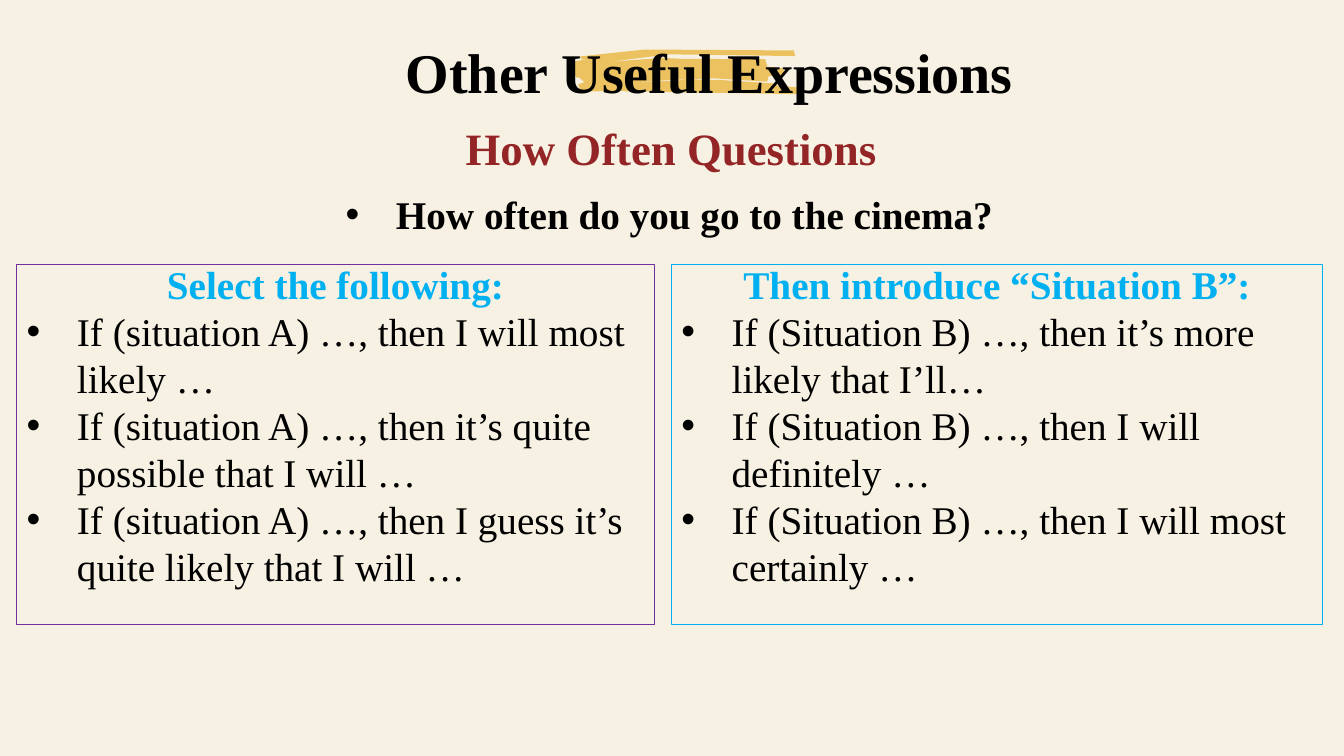
import math
import pptx
import pptx.util
import pptx.dml.color
import pptx.enum.shapes
import pptx.enum.text
import lxml.etree

RGB = pptx.dml.color.RGBColor
Cm = pptx.util.Cm
Pt = pptx.util.Pt
ALIGN = pptx.enum.text.PP_ALIGN
RECT = pptx.enum.shapes.MSO_SHAPE.RECTANGLE

CREAM = RGB(0xF6, 0xF0, 0xE1)
GOLD = RGB(0xEC, 0xC2, 0x61)
RED = RGB(0x94, 0x25, 0x26)
BLACK = RGB(0, 0, 0)
BLUE = RGB(0x00, 0xB0, 0xF0)
PLUM = RGB(0x70, 0x30, 0xA0)

WIDE, HIGH = 33.87, 19.05
TILT = 15.6
HUB = (684, 71)
STROKE = [
    (797, 87), (772, 85), (767, 83), (714, 79), (668, 79), (618, 83),
    (708, 78), (761, 81), (763, 75), (778, 75), (777, 68), (758, 66),
    (761, 65), (759, 59), (676, 58), (658, 58), (605, 61), (664, 54),
    (789, 56), (787, 50), (639, 49), (575, 56), (577, 59), (585, 58),
    (566, 62), (570, 69), (567, 70), (572, 77), (574, 77), (579, 81),
    (582, 81), (573, 84), (577, 91), (618, 90), (620, 91), (798, 93),
]


def turn(dot, hub, angle):
    """Return a point turned about a hub by an angle in degrees."""
    x, y = dot[0] - hub[0], dot[1] - hub[1]
    c, s = math.cos(math.radians(angle)), math.sin(math.radians(angle))
    return hub[0] + x * c - y * s, hub[1] + x * s + y * c


class Page:
    """Holds the text style and the current slide."""

    font = "Times New Roman"
    size = 28

    def __init__(self, slide):
        """Keep the slide."""
        self.slide = slide

    def style(self, para, color, size=None, bold=True):
        """Format the runs of a paragraph."""
        for run in para.runs:
            run.font.name = self.font
            run.font.size = Pt(size or self.size)
            run.font.bold = bold
            run.font.color.rgb = color

    def bullet(self, para):
        """Give a paragraph a hanging round bullet."""
        props = para._p.get_or_add_pPr()
        props.set("marL", str(Cm(1.27)))
        props.set("indent", str(-Cm(1.27)))
        for tag, key, value in (("buFont", "typeface", "Arial"),
                                ("buChar", "char", "•")):
            item = lxml.etree.SubElement(props, pptx.oxml.ns.qn("a:" + tag))
            item.set(key, value)

    def paint(self, shape, color):
        """Fill a shape with a flat colour and no line."""
        shape.shadow.inherit = False
        shape.fill.solid()
        shape.fill.fore_color.rgb = color
        shape.line.fill.background()

    def ground(self, color, alpha):
        """Cover the slide with a slightly clear colour."""
        shape = self.slide.shapes.add_shape(RECT, 0, 0, Cm(WIDE), Cm(HIGH))
        self.paint(shape, color)
        tint = shape._element.spPr.find(".//" + pptx.oxml.ns.qn("a:srgbClr"))
        item = lxml.etree.SubElement(tint, pptx.oxml.ns.qn("a:alpha"))
        item.set("val", str(alpha * 1000))

    def text(self, place, words, color, size=None, wrap=True, dot=False):
        """Add one line of bold text."""
        frame = self.slide.shapes.add_textbox(*map(Cm, place)).text_frame
        frame.word_wrap = wrap
        para = frame.paragraphs[0]
        para.text = words
        if dot:
            self.bullet(para)
        else:
            para.alignment = ALIGN.CENTER
        self.style(para, color, size)

    def panel(self, place, edge, head, items):
        """Add an outlined box with a heading and bullets."""
        box = self.slide.shapes.add_shape(RECT, *map(Cm, place))
        box.shadow.inherit = False
        box.fill.background()
        box.line.color.rgb = edge
        box.line.width = Pt(0.75)
        frame = box.text_frame
        frame.word_wrap = True
        frame.vertical_anchor = pptx.enum.text.MSO_ANCHOR.TOP
        para = frame.paragraphs[0]
        para.text = head
        para.alignment = ALIGN.CENTER
        para.line_spacing = 0.8
        self.style(para, BLUE)
        for item in items:
            para = frame.add_paragraph()
            para.text = item
            para.alignment = ALIGN.LEFT
            self.bullet(para)
            self.style(para, BLACK, bold=False)

    def brush(self, dots, hub, tilt, color):
        """Add a tilted brush stroke drawn in hundredths of an inch."""
        flat = [turn(dot, hub, -tilt) for dot in dots]
        pen = self.slide.shapes.build_freeform(*flat[0], scale=Cm(2.54) / 100)
        pen.add_line_segments(flat[1:], close=True)
        shape = pen.convert_to_shape()
        shape.rotation = tilt
        self.paint(shape, color)


def main():
    """Build and save the slide."""
    deck = pptx.Presentation()
    deck.slide_width = Cm(WIDE)
    deck.slide_height = Cm(HIGH)
    page = Page(deck.slides.add_slide(deck.slide_layouts[6]))
    page.ground(CREAM, 90)
    page.panel((0.42, 6.67, 16.07, 9.07), PLUM, "Select the following:", [
        "If (situation A) …, then I will most likely …",
        "If (situation A) …, then it’s quite possible that I will …",
        "If (situation A) …, then I guess it’s quite likely that I will …"])
    page.panel((16.92, 6.67, 16.41, 9.07), BLUE,
               "Then introduce “Situation B”:", [
                   "If (Situation B) …, then it’s more likely that I’ll…",
                   "If (Situation B) …, then I will definitely …",
                   "If (Situation B) …, then I will most certainly …"])
    page.text((8.46, 4.67, 28.55, 2.92), "How often do you go to the cinema?",
              BLACK, dot=True)
    page.text((2.21, 2.92, 29.41, 1.83), "How Often Questions", RED, 32)
    page.brush(STROKE, HUB, TILT, GOLD)
    page.text((9.89, 0.81, 15.98, 1.96), "Other Useful Expressions", BLACK,
              40, wrap=False)
    deck.save("out.pptx")


if __name__ == "__main__":
    main()
